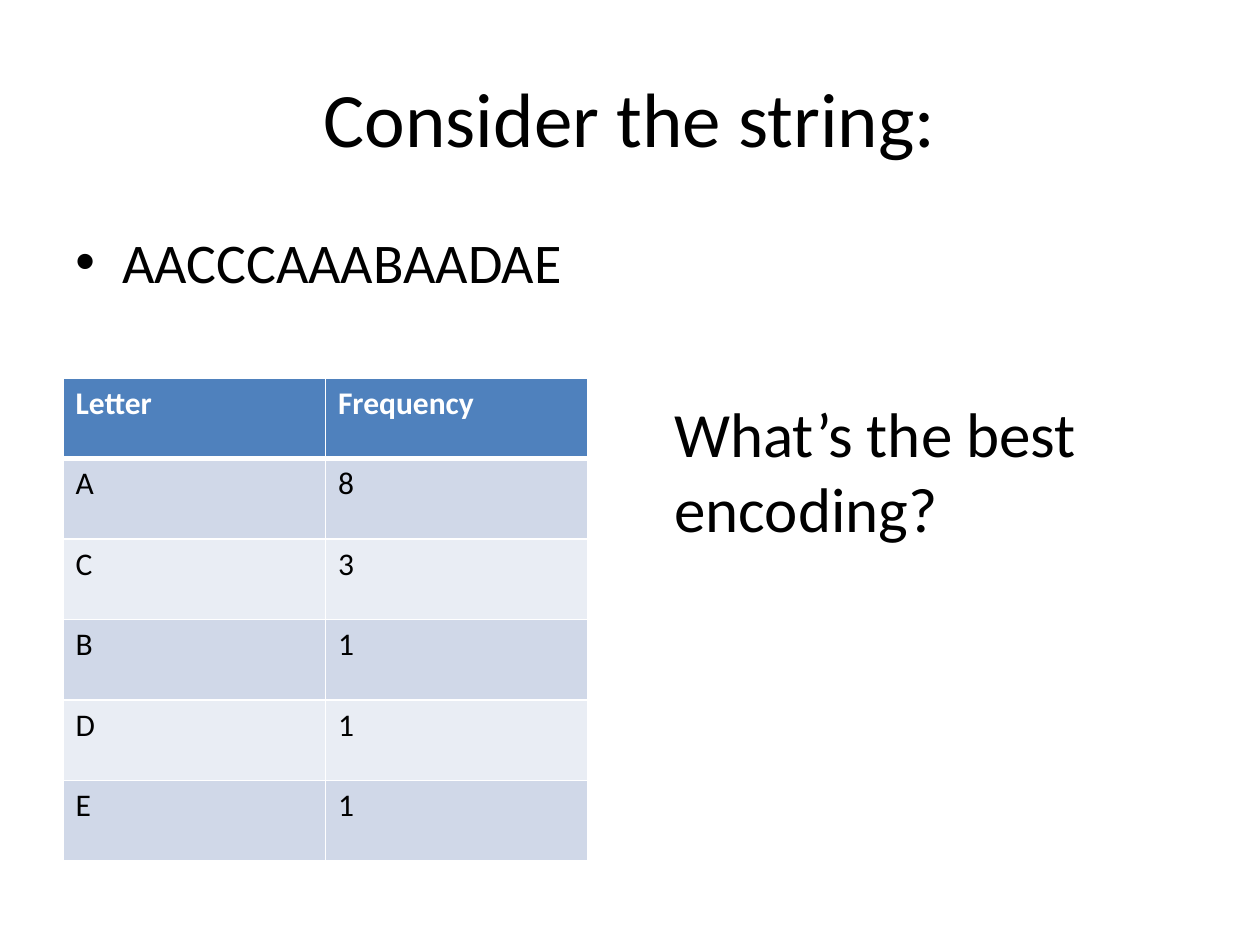
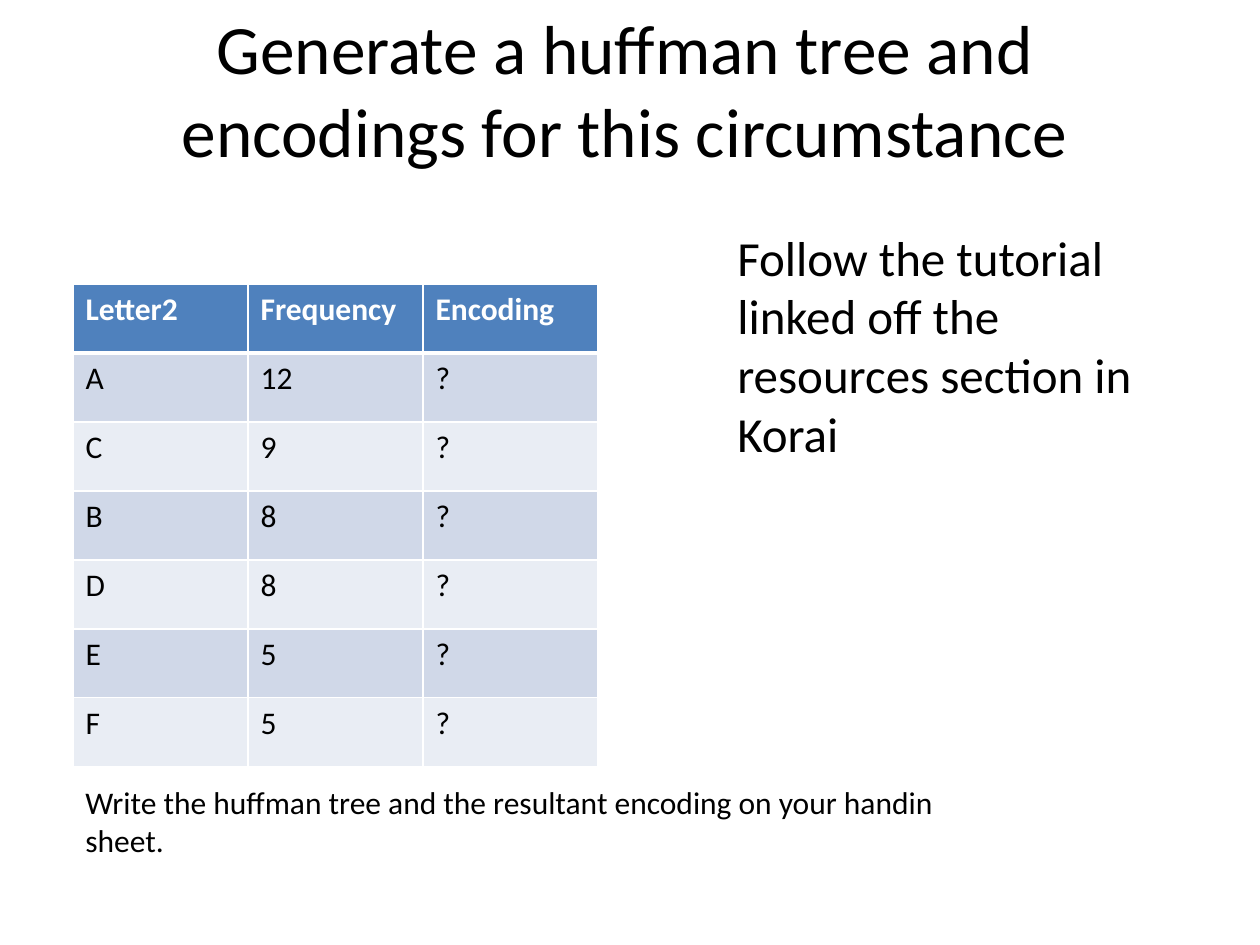
from lxml.etree import SubElement
from pptx import Presentation
from pptx.dml.color import RGBColor as RGB
from pptx.enum.text import MSO_ANCHOR as ANCHOR, PP_ALIGN as ALIGN
from pptx.oxml.ns import qn
from pptx.util import Emu, Pt

SCALE = 914400 / 126
FONT = "Calibri"
COLORS = {"text": "000000", "paper": "FFFFFF", "header": "4F81BD",
          "odd_row": "D0D8E8", "even_row": "E9EDF4"}


def add_text(slide, box, words, size, title=False):
    """Add wrapped text in a pixel box and return its paragraph."""
    frame = slide.shapes.add_textbox(*(Emu(round(v * SCALE)) for v in box)).text_frame
    frame.word_wrap = True
    frame.vertical_anchor = ANCHOR.MIDDLE if title else ANCHOR.TOP
    line = frame.paragraphs[0]
    line.text = words
    line.alignment = ALIGN.CENTER if title else ALIGN.LEFT
    line.font.name = FONT
    line.font.size = Pt(size)
    line.font.color.rgb = RGB.from_string(COLORS["text"])
    return line


def add_grid(slide, box, rows):
    """Add a banded table with equal rows and columns and white rules."""
    left, top, width, height = (Emu(round(v * SCALE)) for v in box)
    grid = slide.shapes.add_table(len(rows), len(rows[0]), left, top, width, height).table
    for r, row in enumerate(rows):
        grid.rows[r].height = Emu(height // len(rows))
        band = "header" if r == 0 else "odd_row" if r % 2 else "even_row"
        for c, words in enumerate(row):
            cell = grid.cell(r, c)
            cell.text = words
            font = cell.text_frame.paragraphs[0].font
            font.name, font.size, font.bold = FONT, Pt(18), r == 0
            font.color.rgb = RGB.from_string(COLORS["text" if r else "paper"])
            # The rule under the header is thicker than the others.
            rules = {"lnL": 1, "lnR": 1, "lnT": 3 if r == 1 else 1, "lnB": 1 if r else 3}
            properties = cell._tc.get_or_add_tcPr()
            for side, points in rules.items():
                rule = SubElement(properties, qn("a:" + side), w=str(Pt(points)))
                paint = SubElement(rule, qn("a:solidFill"))
                SubElement(paint, qn("a:srgbClr"), val=COLORS["paper"])
            cell.fill.solid()
            cell.fill.fore_color.rgb = RGB.from_string(COLORS[band])


deck = Presentation()
deck.slide_width = Emu(round(1260 * SCALE))
deck.slide_height = Emu(round(945 * SCALE))
blank = deck.slide_layouts[6]

# Slide 1: letter counts of a string
counting = deck.slides.add_slide(blank)
add_text(counting, (63, 38, 1134, 157), "Consider the string:", 44, title=True)
string = add_text(counting, (63, 221, 1134, 116), "AACCCAAABAADAE", 32)
indent = round(47 * SCALE)
bullet = string._p.get_or_add_pPr()
bullet.set("marL", str(indent))
bullet.set("indent", str(-indent))
SubElement(bullet, qn("a:buFont"), typeface="Arial")
SubElement(bullet, qn("a:buChar"), char="•")
add_grid(counting, (63, 378, 525, 483),
         [("Letter", "Frequency"), *zip("ACBDE", "83111")])
add_text(counting, (662, 388, 451, 165), "What’s the best encoding?", 36)

# Slide 2: exercise
exercise = deck.slides.add_slide(blank)
add_text(exercise, (63, 10, 1124, 157),
         "Generate a huffman tree and encodings for this circumstance", 39.6, title=True)
add_text(exercise, (725, 221, 451, 251),
         "Follow the tutorial linked off the resources section in Korai", 28)
add_grid(exercise, (73, 284, 525, 483),
         [("Letter2", "Frequency", "Encoding"),
          *zip("ACBDEF", ("12", "9", "8", "8", "5", "5"), "??????")])
add_text(exercise, (73, 777, 935, 89),
         "Write the huffman tree and the resultant encoding on your handin sheet.", 18)

deck.save("out.pptx")
